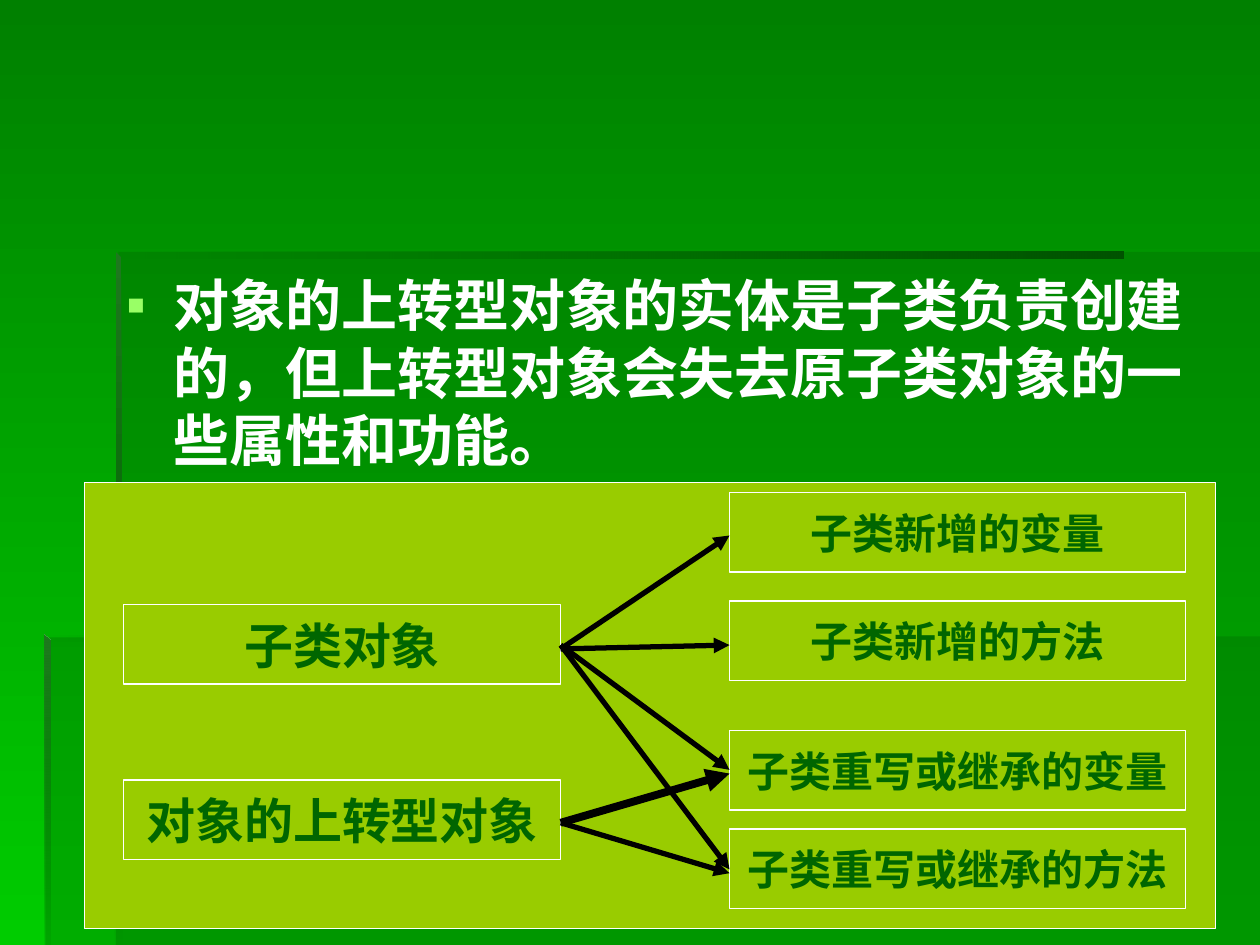
from collections import namedtuple
from dataclasses import dataclass

from lxml.etree import SubElement
from pptx import Presentation
from pptx.dml.color import RGBColor as Rgb
from pptx.enum.shapes import MSO_CONNECTOR as Connector, MSO_SHAPE as Shape
from pptx.enum.text import MSO_ANCHOR as Anchor, MSO_AUTO_SIZE as AutoSize, PP_ALIGN as Align
from pptx.oxml.ns import qn
from pptx.util import Inches, Pt

Box = namedtuple("Box", "left top width height")


@dataclass(frozen=True)
class Theme:
    font: str = "Arial"
    sky: str = "008000"
    meadow: str = "00CC00"
    panel: str = "006600"
    shade: str = "005300"
    edge: str = "1E781E"
    lime: str = "99CC00"
    bullet: str = "99FF66"
    white: str = "FFFFFF"
    black: str = "000000"
    body_size: int = 32
    source_size: int = 28
    member_size: int = 24


THEME = Theme()


def color(value):
    return Rgb.from_string(value)


def set_gradient(fill, start, end, angle):
    fill.gradient()
    fill.gradient_angle = angle
    for stop, value in zip(fill.gradient_stops, (start, end)):
        stop.color.rgb = color(value)


def set_opacity(shape, percent):
    last = shape.element.spPr.findall(".//" + qn("a:srgbClr"))[-1]
    SubElement(last, qn("a:alpha"), val=str(percent * 1000))


def add_outline(page, box, points):
    corners = [(Inches(box.left + x), Inches(box.top + y)) for x, y in points]
    builder = page.shapes.build_freeform(*corners[0], scale=1.0)
    builder.add_line_segments(corners[1:], close=True)
    shape = builder.convert_to_shape()
    shape.shadow.inherit = False
    shape.line.fill.background()
    return shape


def style_text(para, size, value):
    for span in para.runs:
        span.font.name = THEME.font
        span.font.size = Pt(size)
        span.font.bold = True
        span.font.color.rgb = color(value)


def draw_backdrop(page, box):
    set_gradient(page.background.fill, THEME.sky, THEME.meadow, 270)
    right, bottom = box.width, box.height
    panels = [
        [(0.92, 5.05), (0.92, bottom), (right, bottom), (right, 5.05)],
        [(0.94, 5.06), (0.36, 5.06), (0.36, bottom), (right, bottom), (right, 2), (0.94, 2)],
    ]
    for points in panels:
        panel = add_outline(page, box, points)
        panel.fill.solid()
        panel.fill.fore_color.rgb = color(THEME.panel)
        set_opacity(panel, 30)

    across = (THEME.shade, 180)
    down = (THEME.edge, 270)
    bevels = [
        ([(0.92, 2), (0.92, 2.05), (8.92, 2.05), (8.92, 2)], across, 0),
        ([(0.92, 2), (0.92, 5.1), (0.97, 5.1), (0.96, 2.04)], down, 100),
        ([(0.91, bottom), (0.97, bottom), (0.96, 5.08), (0.91, 5.04)], down, 0),
        ([(0.35, 5.04), (0.35, 5.09), (5.35, 5.09), (5.35, 5.04)], across, 0),
        ([(0.35, 5.04), (0.35, bottom), (0.4, bottom), (0.4, 5.09)], down, 10),
    ]
    for points, (start, angle), opacity in bevels:
        bevel = add_outline(page, box, points)
        set_gradient(bevel.fill, start, THEME.panel, angle)
        set_opacity(bevel, opacity)


def draw_body(page, box, text):
    body = page.placeholders[1]
    body.left, body.top, body.width, body.height = map(Inches, box)
    frame = body.text_frame
    frame.auto_size = AutoSize.NONE
    frame.vertical_anchor = Anchor.TOP
    frame.text = text
    para = frame.paragraphs[0]
    para.space_before = Pt(8)
    style_text(para, THEME.body_size, THEME.white)
    props = para._p.get_or_add_pPr()
    props.set("marL", str(Inches(0.38)))
    props.set("indent", str(Inches(-0.38)))
    tint = SubElement(props, qn("a:buClr"))
    SubElement(tint, qn("a:srgbClr"), val=THEME.bullet)
    SubElement(props, qn("a:buFont"), typeface=THEME.font)
    SubElement(props, qn("a:buChar"), char="▪")


def add_block(page, box, text="", size=THEME.member_size):
    block = page.shapes.add_shape(Shape.RECTANGLE, *map(Inches, box))
    block.shadow.inherit = False
    block.fill.solid()
    block.fill.fore_color.rgb = color(THEME.lime)
    block.line.color.rgb = color(THEME.white)
    block.line.width = Pt(0.75)
    if text:
        frame = block.text_frame
        frame.word_wrap = False
        frame.vertical_anchor = Anchor.MIDDLE
        frame.text = text
        para = frame.paragraphs[0]
        para.alignment = Align.CENTER
        style_text(para, size, THEME.panel)


def add_arrow(page, start, end, weight):
    arrow = page.shapes.add_connector(Connector.STRAIGHT, *map(Inches, start + end))
    arrow.line.color.rgb = color(THEME.black)
    arrow.line.width = Pt(weight)
    SubElement(arrow.line._get_or_add_ln(), qn("a:tailEnd"), type="triangle")
    SubElement(arrow.element.spPr, qn("a:effectLst"))


def draw_diagram(page, box):
    add_block(page, box)
    block_height = 0.63
    sources = [("对象的上转型对象", 2.36), ("子类对象", 0.97)]
    members = [
        ("子类新增的变量", 0.08),
        ("子类新增的方法", 0.94),
        ("子类重写或继承的变量", 1.97),
        ("子类重写或继承的方法", 2.75),
    ]
    for text, top in sources:
        block = Box(box.left + 0.31, box.top + top, 3.47, block_height)
        add_block(page, block, text, THEME.source_size)
    for text, top in members:
        add_block(page, Box(box.left + 5.12, box.top + top, 3.62, block_height), text)

    arrows = [
        (1.32, 0.42, 3),
        (1.32, 1.29, 3),
        (1.29, 2.28, 3),
        (1.29, 3.07, 3),
        (2.7, 2.31, 4.5),
        (2.7, 3.1, 3),
    ]
    for start, end, weight in arrows:
        add_arrow(page, (box.left + 3.78, box.top + start), (box.left + 5.12, box.top + end), weight)


def main():
    deck = Presentation()
    deck.slide_width, deck.slide_height = Inches(10), Inches(7.5)
    page = deck.slides.add_slide(deck.slide_layouts[1])
    title = page.shapes.title.element
    title.getparent().remove(title)
    draw_backdrop(page, Box(0, 0, 10, 7.5))
    draw_body(
        page,
        Box(0.9, 2.1, 8.76, 4.58),
        "对象的上转型对象的实体是子类负责创建的，但上转型对象会失去原子类对象的一些属性和功能。",
    )
    body = page.placeholders[1].element
    body.getparent().append(body)
    draw_diagram(page, Box(0.67, 3.83, 8.98, 3.54))
    deck.save("out.pptx")


if __name__ == "__main__":
    main()
